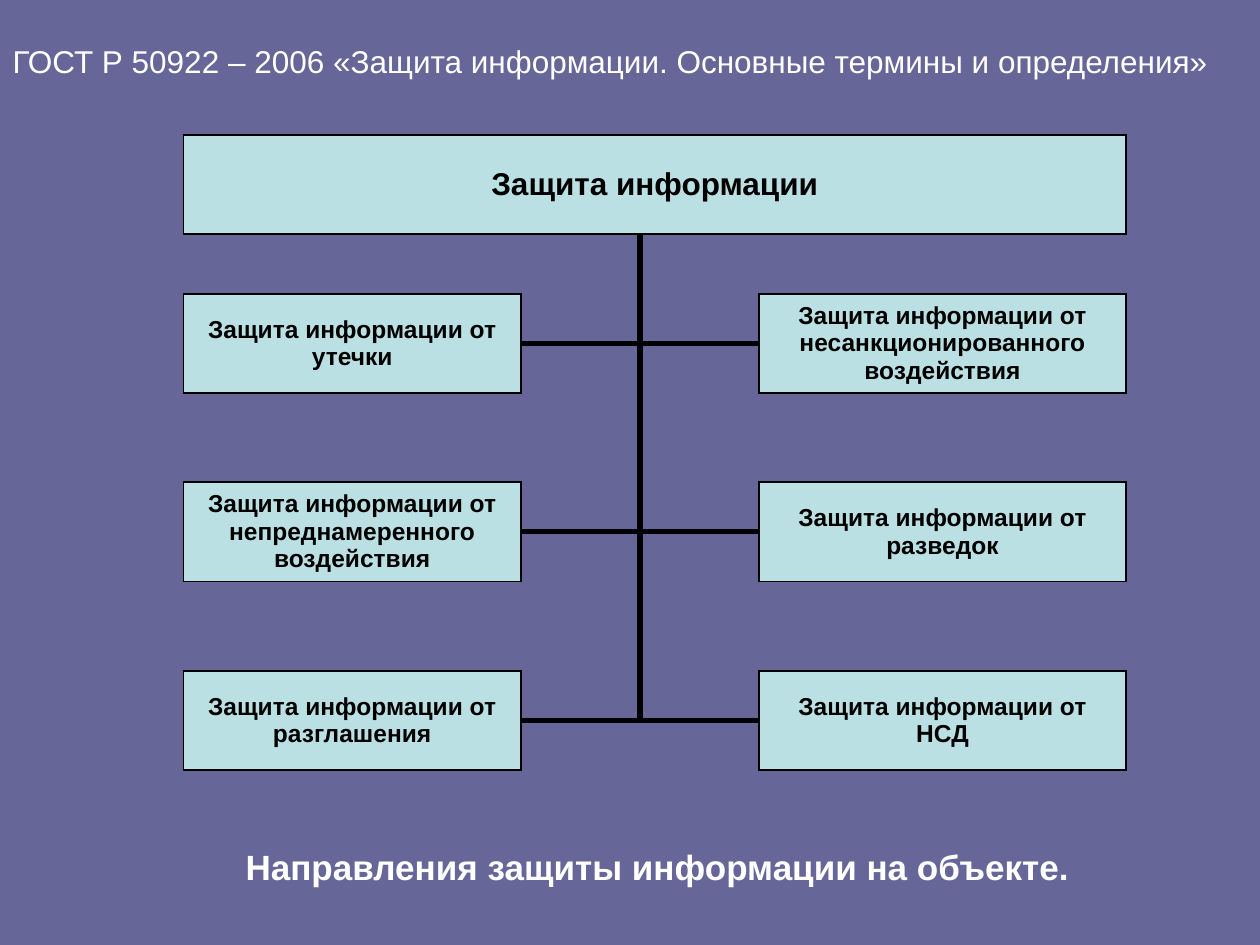
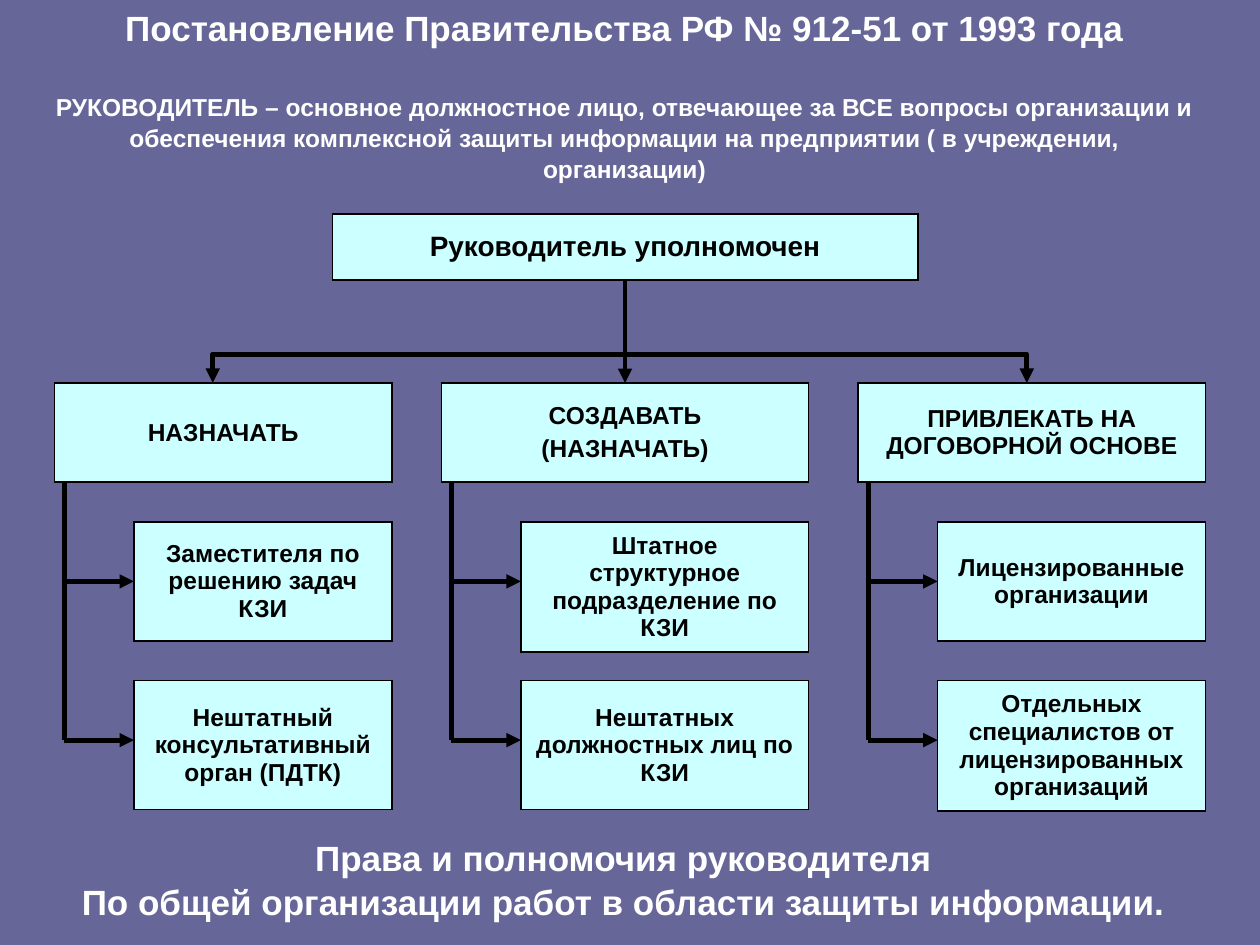
from lxml.etree import SubElement
from pptx import Presentation
from pptx.dml.color import RGBColor
from pptx.enum.shapes import MSO_CONNECTOR
from pptx.enum.text import MSO_ANCHOR, MSO_AUTO_SIZE, PP_ALIGN
from pptx.oxml import parse_xml
from pptx.oxml.ns import nsdecls, qn
from pptx.util import Cm, Pt

BACKGROUND, WHITE, BLACK = "666699", "FFFFFF", "000000"
TEAL, CYAN = "BBE0E3", "CCFFFF"
FONT = "Arial"
TITLE_ONLY_LAYOUT = 5
BOX_HEIGHT = 2.0

STANDARD = "ГОСТ Р 50922 – 2006 «Защита информации. Основные термины и определения»"
PROTECTION = "Защита информации"
PROTECTION_PAIRS = [
    ("Защита информации от утечки",
     "Защита информации от несанкционированного воздействия"),
    ("Защита информации от непреднамеренного воздействия",
     "Защита информации от разведок"),
    ("Защита информации от разглашения", "Защита информации от НСД"),
]
DIRECTIONS = "Направления защиты информации на объекте."

DECREE = "Постановление Правительства РФ № 912-51 от 1993 года"
MANAGER_DEFINITION = [
    "РУКОВОДИТЕЛЬ – основное должностное лицо, отвечающее за ВСЕ вопросы организации и",
    "обеспечения комплексной защиты информации на предприятии ( в учреждении, организации)",
]
MANAGER = "Руководитель уполномочен"
POWERS = [
    (6.8, "НАЗНАЧАТЬ",
     ["Заместителя по решению задач КЗИ", "Нештатный консультативный орган (ПДТК)"]),
    (7.4, "СОЗДАВАТЬ\n(НАЗНАЧАТЬ)",
     ["Штатное структурное подразделение по КЗИ", "Нештатных должностных лиц по КЗИ"]),
    (7.0, "ПРИВЛЕКАТЬ НА ДОГОВОРНОЙ ОСНОВЕ",
     ["Лицензированные организации",
      "Отдельных специалистов от лицензированных организаций"]),
]
POWER_ROWS = [(10.52, 2.4), (13.72, 2.6)]
RIGHTS = ["Права и полномочия руководителя",
          "По общей организации работ в области защиты информации."]


def color(value):
    return RGBColor.from_string(value)


def format_text(text_frame, size, text_color, bold=True, align=PP_ALIGN.CENTER,
                gap=0, line_spacing=None):
    for index, paragraph in enumerate(text_frame.paragraphs):
        paragraph.alignment = align
        paragraph.space_before = Pt(gap if index else 0)
        if line_spacing:
            paragraph.line_spacing = line_spacing
        for run in paragraph.runs:
            run.font.name = FONT
            run.font.size = Pt(size)
            run.font.bold = bold
            run.font.color.rgb = color(text_color)


def add_slide(presentation, title, top, left, width, **text_format):
    slide = presentation.slides.add_slide(presentation.slide_layouts[TITLE_ONLY_LAYOUT])
    shape = slide.shapes.title
    shape.left, shape.top, shape.width, shape.height = Cm(left), Cm(top), Cm(width), Cm(1.2)
    text_frame = shape.text_frame
    text_frame.text = title
    text_frame.word_wrap = True
    text_frame.auto_size = MSO_AUTO_SIZE.NONE
    text_frame.vertical_anchor = MSO_ANCHOR.TOP
    format_text(text_frame, text_color=WHITE, **text_format)
    return slide


def add_caption(slide, lines, left, top, width, height, size, wrap=True, **text_format):
    shape = slide.shapes.add_textbox(Cm(left), Cm(top), Cm(width), Cm(height))
    shape.text_frame.text = "\n".join(lines)
    shape.text_frame.word_wrap = wrap
    format_text(shape.text_frame, size, WHITE, **text_format)


def add_box(slide, text, left, top, width, height, fill, size=14):
    """Add a one-cell table with a thin black border."""
    table = slide.shapes.add_table(1, 1, Cm(left), Cm(top), Cm(width), Cm(height)).table
    table.first_row = table.horz_banding = False
    cell = table.cell(0, 0)
    cell.text = text
    cell.vertical_anchor = MSO_ANCHOR.MIDDLE
    format_text(cell.text_frame, size, BLACK, gap=3.5)
    properties = cell._tc.get_or_add_tcPr()
    for side in "LRTB":
        properties.append(parse_xml(
            f'<a:ln{side} {nsdecls("a")} w="{Pt(1.08)}"><a:solidFill>'
            f'<a:srgbClr val="{BLACK}"/></a:solidFill></a:ln{side}>'))
    cell.fill.solid()
    cell.fill.fore_color.rgb = color(fill)


def style_line(shape, width, arrowheads=()):
    shape.line.color.rgb = color(BLACK)
    shape.line.width = Pt(width)
    for end in arrowheads:
        SubElement(shape.line._get_or_add_ln(), qn(f"a:{end}"), type="triangle")


def add_line(slide, x1, y1, x2, y2, width=2.75, arrow=False):
    connector = slide.shapes.add_connector(
        MSO_CONNECTOR.STRAIGHT, Cm(x1), Cm(y1), Cm(x2), Cm(y2))
    style_line(connector, width, ["tailEnd"] if arrow else [])
    SubElement(connector.element.spPr, qn("a:effectLst"))


def add_branch(slide, left, right, top, bottom):
    """Add a bracket with an arrowhead at each lower end."""
    builder = slide.shapes.build_freeform(Cm(left), Cm(bottom))
    corners = [(left, top), (right, top), (right, bottom)]
    builder.add_line_segments([(Cm(x), Cm(y)) for x, y in corners], close=False)
    shape = builder.convert_to_shape()
    shape.shadow.inherit = False
    shape.fill.background()
    style_line(shape, 2.75, ["headEnd", "tailEnd"])


def build_directions(presentation):
    slide = add_slide(presentation, STANDARD, 0.72, 0, 25.4,
                      size=18, bold=False, align=PP_ALIGN.LEFT)
    left, left_width, right, right_width = 3.7, 6.8, 15.3, 7.4
    top, first_row, row_step, spine = 2.72, 5.92, 3.8, 12.9
    add_box(slide, PROTECTION, left, top, right + right_width - left, BOX_HEIGHT, TEAL, 18)
    for index, (left_text, right_text) in enumerate(PROTECTION_PAIRS):
        row = first_row + index * row_step
        middle = row + BOX_HEIGHT / 2
        add_box(slide, left_text, left, row, left_width, BOX_HEIGHT, TEAL)
        add_box(slide, right_text, right, row, right_width, BOX_HEIGHT, TEAL)
        add_line(slide, left + left_width, middle, right, middle, 3)
    add_line(slide, spine, middle, spine, top + BOX_HEIGHT, 3)
    add_caption(slide, [DIRECTIONS], 4.7, 16.92, 17.4, 1.12, 20, align=PP_ALIGN.LEFT)


def build_powers(presentation):
    slide = add_slide(presentation, DECREE, 0, 0.69, 23.8, size=20)
    add_caption(slide, MANAGER_DEFINITION, 0.69, 1.7, 23.8, 2.03, 14, line_spacing=1.05)
    head_top, head_bottom, branch_top, column_top = 4.32, 5.65, 7.14, 7.72
    column_gap, indent, stem_offset, arrow_drop = 1.0, 1.6, 0.2, 1.2
    add_box(slide, MANAGER, 6.7, head_top, 11.8, head_bottom - head_top, CYAN, 16)
    add_line(slide, 12.6, head_bottom, 12.6, column_top, arrow=True)
    add_branch(slide, 4.29, 20.7, branch_top, column_top)
    left = 1.1
    for width, heading, items in POWERS:
        add_box(slide, heading, left, column_top, width, BOX_HEIGHT, CYAN)
        stem = left + stem_offset
        for item, (top, height) in zip(items, POWER_ROWS):
            arrow_y = top + arrow_drop
            add_box(slide, item, left + indent, top, width - indent, height, CYAN)
            add_line(slide, stem, arrow_y, left + indent, arrow_y, arrow=True)
        add_line(slide, stem, column_top + BOX_HEIGHT, stem, arrow_y)
        left += width + column_gap
    add_caption(slide, RIGHTS, 1.35, 16.7, 22.43, 1.96, 20, wrap=False, line_spacing=1.05)


def main():
    presentation = Presentation()
    presentation.slide_width, presentation.slide_height = Cm(25.4), Cm(19.05)
    background = presentation.slide_master.background.fill
    background.solid()
    background.fore_color.rgb = color(BACKGROUND)
    build_directions(presentation)
    build_powers(presentation)
    presentation.save("out.pptx")


if __name__ == "__main__":
    main()
